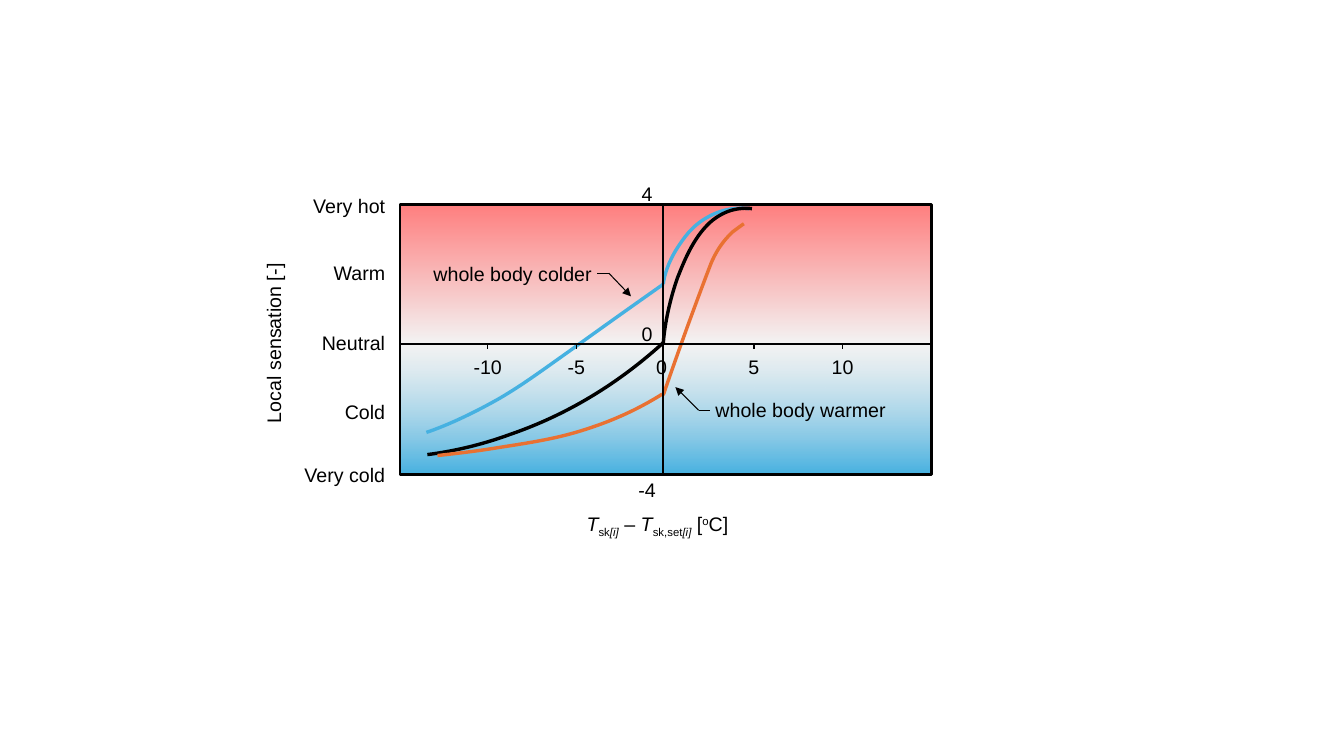
from lxml.etree import SubElement
from pptx import Presentation
from pptx.dml.color import RGBColor
from pptx.enum.shapes import MSO_CONNECTOR, MSO_SHAPE
from pptx.enum.text import MSO_AUTO_SIZE, PP_ALIGN
from pptx.oxml.ns import qn
from pptx.util import Inches, Pt

COLOURS = {"ink": "000000", "neutral": "E8E8E8", "hot": "FF0000",
           "cold": "46B1E1", "warmer": "E97132"}
FONT, TEXT_SIZE = "Arial", 14

# Grid of tenth-inch cells: all lengths below are columns and rows
COLUMNS, ROWS = 133.33, 75
LEFT, RIGHT, TOP, BOTTOM = 39.7, 92.4, 20.3, 47.1
AXIS_X, AXIS_Y = 65.8, 34.1
FIRST_TICK, TICK_STEP, TICK_LENGTH = 48.4, 8.8, 0.5
LABEL_HEIGHT = 3.4

# Each curve: colour, start point, then three points per Bezier piece
CURVES = [
    ("cold", [(65.8, 28.2), (65.9, 27.3), (66.3, 26), (67.2, 24.6),
              (67.8, 23.7), (68.6, 22.4), (70.3, 21.5),
              (71.9, 20.6), (73.5, 20.6), (74.3, 20.7)]),
    ("ink", [(65.8, 34.1), (65.9, 32.6), (66.3, 30.2), (67.2, 27.6),
             (67.8, 26.1), (68.7, 23.7), (70.4, 22.1),
             (72.1, 20.6), (73.7, 20.6), (74.6, 20.7)]),
    ("ink", [(42.4, 45.1), (44.8, 44.8), (47.6, 44.2), (50.6, 43.1),
             (57.6, 40.7), (62.6, 36.9), (65.8, 34)]),
    ("warmer", [(65.8, 39.2), (67.9, 33.1), (69.6, 28.6), (70.4, 26.5),
                (70.7, 25.7), (71.3, 24.3), (72.7, 23),
                (73.1, 22.7), (73.5, 22.4), (73.8, 22.2)]),
    ("warmer", [(43.4, 45.2), (45.1, 45), (47.1, 44.8), (49.5, 44.4),
                (53.4, 43.8), (55.8, 43.4), (58.7, 42.4),
                (60.5, 41.8), (63, 40.8), (65.7, 39.1)]),
    ("cold", [(42.3, 42.9), (44.1, 42.3), (46.6, 41.2), (49.6, 39.5),
              (51.8, 38.2), (53.3, 37.1), (56.4, 34.9),
              (58.2, 33.6), (61.4, 31.3), (65.8, 28.2)]),
]

# Sensation names: text, middle row, width
SENSATIONS = [("Very hot", 20.4, 9.2), ("Warm", 27.1, 7.2),
              ("Neutral", 34, 8.3), ("Cold", 40.9, 6.1),
              ("Very cold", 47.1, 10.1)]

# Axis title runs: text, italic, baseline shift in thousandths of a percent
AXIS_TITLE = [("T", True, 0), ("sk", False, -25000), ("[i]", True, -25000),
              (" – ", False, 0), ("T", True, 0), ("sk,set", False, -25000),
              ("[i]", True, -25000), (" [", False, 0), ("o", False, 30000),
              ("C]", False, 0)]


def cells(*counts):
    return [Inches(count / 10) for count in counts]


def colour(name):
    return RGBColor.from_string(COLOURS[name])


def style_line(shape, name, width):
    shape.line.color.rgb = colour(name)
    shape.line.width = Pt(width)


def add_rectangle(page, top, bottom):
    box = page.shapes.add_shape(
        MSO_SHAPE.RECTANGLE, *cells(LEFT, top, RIGHT - LEFT, bottom - top))
    box.shadow.inherit = False
    return box


def add_band(page, top, bottom, name, alphas, rotation=0):
    """Gradient running from neutral at the axis to a full colour."""
    band = add_rectangle(page, top, bottom)
    band.rotation = rotation
    band.line.fill.background()
    band.fill.gradient()
    band.fill.gradient_angle = 90
    for stop, stop_name in zip(band.fill.gradient_stops, ("neutral", name)):
        stop.color.rgb = colour(stop_name)
    stops = band.fill._xPr.iter(qn("a:srgbClr"))
    for element, alpha in zip(stops, alphas):
        SubElement(element, qn("a:alpha")).set("val", str(alpha * 1000))


def add_curve(page, name, points):
    start, *rest = [cells(*point) for point in points]
    builder = page.shapes.build_freeform(*start)
    builder.add_line_segments(rest, close=False)
    curve = builder.convert_to_shape()
    curve.shadow.inherit = False
    curve.fill.background()
    style_line(curve, name, 2.45)
    # Join every three straight segments into one cubic piece
    outline = next(curve._element.iter(qn("a:path")))
    segments = outline.findall(qn("a:lnTo"))
    for first in range(0, len(segments), 3):
        piece = SubElement(outline, qn("a:cubicBezTo"))
        for segment in segments[first:first + 3]:
            piece.append(segment[0])
            outline.remove(segment)


def add_line(page, start, end, width, arrow=False):
    line = page.shapes.add_connector(
        MSO_CONNECTOR.STRAIGHT, *cells(*start, *end))
    style_line(line, "ink", width)
    if arrow:
        SubElement(line.line._get_or_add_ln(), qn("a:tailEnd")).set("type", "triangle")
    SubElement(line._element.spPr, qn("a:effectLst"))


def add_label(page, runs, left, middle, width, align=PP_ALIGN.LEFT, rotation=0):
    box = page.shapes.add_textbox(
        *cells(left, middle - LABEL_HEIGHT / 2, width, LABEL_HEIGHT))
    box.rotation = rotation
    frame = box.text_frame
    frame.word_wrap = False
    frame.auto_size = MSO_AUTO_SIZE.SHAPE_TO_FIT_TEXT
    para = frame.paragraphs[0]
    para.alignment = align
    for text, italic, baseline in runs:
        span = para.add_run()
        span.text = text
        span.font.name = FONT
        span.font.size = Pt(TEXT_SIZE)
        span.font.italic = italic
        span.font.color.rgb = colour("ink")
        if baseline:
            span.font._element.set("baseline", str(baseline))


def add_text(page, text, *place, **options):
    add_label(page, [(text, False, 0)], *place, **options)


def add_number(page, value, centre, middle):
    text = str(value)
    width = 2 + 1.08 * len(text.lstrip("-")) + 0.65 * (value < 0)
    add_text(page, text, centre - width / 2, middle, width)


def add_callout(page, text_end, elbow, tip):
    add_line(page, elbow, tip, 0.75, arrow=True)
    add_line(page, elbow, text_end, 0.75)


def main():
    deck = Presentation()
    deck.slide_width, deck.slide_height = cells(COLUMNS, ROWS)
    page = deck.slides.add_slide(deck.slide_layouts[6])

    # Plot background and frame
    add_band(page, AXIS_Y, BOTTOM, "cold", (50, 100), rotation=180)
    add_band(page, TOP, AXIS_Y, "hot", (50, 50))
    frame = add_rectangle(page, TOP, BOTTOM)
    frame.fill.background()
    style_line(frame, "ink", 1.84)

    for name, points in CURVES:
        add_curve(page, name, points)

    # Axes, ticks and numbers
    add_line(page, (RIGHT, AXIS_Y), (LEFT, AXIS_Y), 1.22)
    add_line(page, (AXIS_X, TOP), (AXIS_X, BOTTOM), 1.22)
    for index, value in enumerate(range(-10, 11, 5)):
        tick = FIRST_TICK + index * TICK_STEP
        if value:
            add_line(page, (tick, AXIS_Y + TICK_LENGTH), (tick, AXIS_Y), 0.8)
        add_number(page, value, tick if value else AXIS_X - 0.15, 36.4)
    for value, middle in ((4, 19.3), (0, 33.1), (-4, 48.6)):
        add_number(page, value, 64.2, middle)

    # Axis titles and sensation names
    add_text(page, "Local sensation [-]", 18.2, 34, 17.9, rotation=270)
    add_label(page, AXIS_TITLE, 57.2, 52, 17.1)
    for text, middle, width in SENSATIONS:
        add_text(page, text, 39.2 - width, middle, width, align=PP_ALIGN.RIGHT)

    # Curve callouts
    add_text(page, "whole body colder", 41.9, 27.2, 17.8, align=PP_ALIGN.RIGHT)
    add_callout(page, (59.2, 27.1), (60.4, 27.1), (62.6, 29.4))
    add_text(page, "whole body warmer", 70, 40.7, 19)
    add_callout(page, (70.4, 40.7), (69.3, 40.7), (67, 38.4))

    deck.save("out.pptx")


if __name__ == "__main__":
    main()
